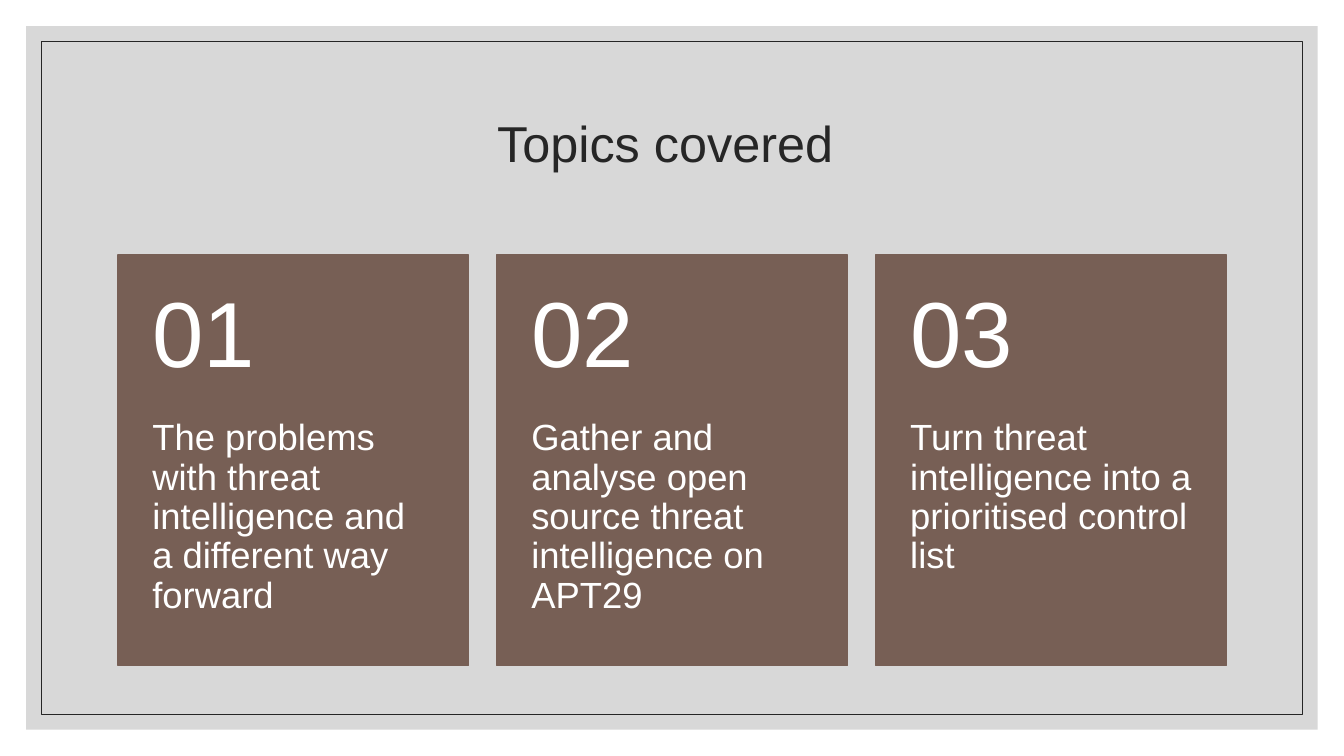
from lxml.etree import SubElement
from pptx import Presentation
from pptx.dml.color import RGBColor
from pptx.enum.shapes import MSO_SHAPE
from pptx.enum.text import MSO_ANCHOR, PP_ALIGN
from pptx.oxml.ns import qn
from pptx.util import Cm, Pt

TITLE = "Topics covered "
TOPICS = [
    ("01", "The problems with threat intelligence and a different way forward"),
    ("02", "Gather and analyse open source threat intelligence on APT29"),
    ("03", "Turn threat intelligence into a prioritised control list"),
]

FONT = "Arial"
INK = RGBColor(0x26, 0x26, 0x26)
GREY = RGBColor(0xBF, 0xBF, 0xBF)
BROWN = RGBColor(0x77, 0x5F, 0x55)
WHITE = RGBColor(0xFF, 0xFF, 0xFF)

SLIDE_W, SLIDE_H = 33.87, 19.05
CARD_LEFT, CARD_TOP = 2.97, 6.43
CARD_W, CARD_H, CARD_GAP = 8.84, 10.34, 0.71
NUMBER_H = 4.14
SIDE_INSET = 0.87


def add_rectangle(slide, left, top, width, height):
    rectangle = slide.shapes.add_shape(
        MSO_SHAPE.RECTANGLE, Cm(left), Cm(top), Cm(width), Cm(height))
    rectangle.shadow.inherit = False
    return rectangle


def add_inset_rectangle(slide, inset):
    """Add a rectangle that keeps the same distance from every slide edge."""
    return add_rectangle(slide, inset, inset, SLIDE_W - 2 * inset, SLIDE_H - 2 * inset)


def write(frame, text, size, color, align, anchor, insets):
    """Fill a text frame; insets are left, top, right, bottom in cm."""
    frame.word_wrap = True
    frame.vertical_anchor = anchor
    (frame.margin_left, frame.margin_top,
     frame.margin_right, frame.margin_bottom) = map(Cm, insets)
    paragraph = frame.paragraphs[0]
    paragraph.alignment = align
    paragraph.line_spacing = 0.9
    run = paragraph.add_run()
    run.text = text
    run.font.name = FONT
    run.font.size = Pt(size)
    run.font.color.rgb = color


def add_backdrop(slide):
    panel = add_inset_rectangle(slide, 0.66)
    panel.fill.solid()
    panel.fill.fore_color.rgb = GREY
    panel.line.fill.background()
    grey = panel.element.spPr.find(qn("a:solidFill")).find(qn("a:srgbClr"))
    SubElement(grey, qn("a:alpha"), val="60000")

    border = add_inset_rectangle(slide, 1.04)
    border.fill.background()
    border.line.color.rgb = INK
    border.line.width = Pt(0.5)
    return border


def add_title(slide, border):
    title = slide.shapes.title
    title.left, title.top, title.width, title.height = Cm(2.97), Cm(1.78), Cm(27.94), Cm(3.81)
    write(title.text_frame, TITLE, 36, INK, PP_ALIGN.CENTER, MSO_ANCHOR.MIDDLE,
          (0.25, 0.13, 0.25, 0.13))
    border.element.addnext(title.element)  # in front of the backdrop


def add_card(slide, left, number, topic):
    card = add_rectangle(slide, left, CARD_TOP, CARD_W, CARD_H)
    card.fill.solid()
    card.fill.fore_color.rgb = BROWN
    card.line.color.rgb = BROWN
    card.line.width = Pt(1)

    topic_box = slide.shapes.add_textbox(
        Cm(left), Cm(CARD_TOP + NUMBER_H), Cm(CARD_W), Cm(CARD_H - NUMBER_H))
    write(topic_box.text_frame, topic, 26, WHITE, PP_ALIGN.LEFT, MSO_ANCHOR.TOP,
          (SIDE_INSET, 0, SIDE_INSET, 0.91))

    number_box = slide.shapes.add_textbox(
        Cm(left), Cm(CARD_TOP), Cm(CARD_W), Cm(NUMBER_H))
    write(number_box.text_frame, number, 66, WHITE, PP_ALIGN.LEFT, MSO_ANCHOR.MIDDLE,
          (SIDE_INSET, 0.46, SIDE_INSET, 0.46))


def main():
    deck = Presentation()
    deck.slide_width, deck.slide_height = Cm(SLIDE_W), Cm(SLIDE_H)
    slide = deck.slides.add_slide(deck.slide_layouts[5])
    border = add_backdrop(slide)
    add_title(slide, border)
    for column, (number, topic) in enumerate(TOPICS):
        add_card(slide, CARD_LEFT + column * (CARD_W + CARD_GAP), number, topic)
    deck.save("out.pptx")


if __name__ == "__main__":
    main()
